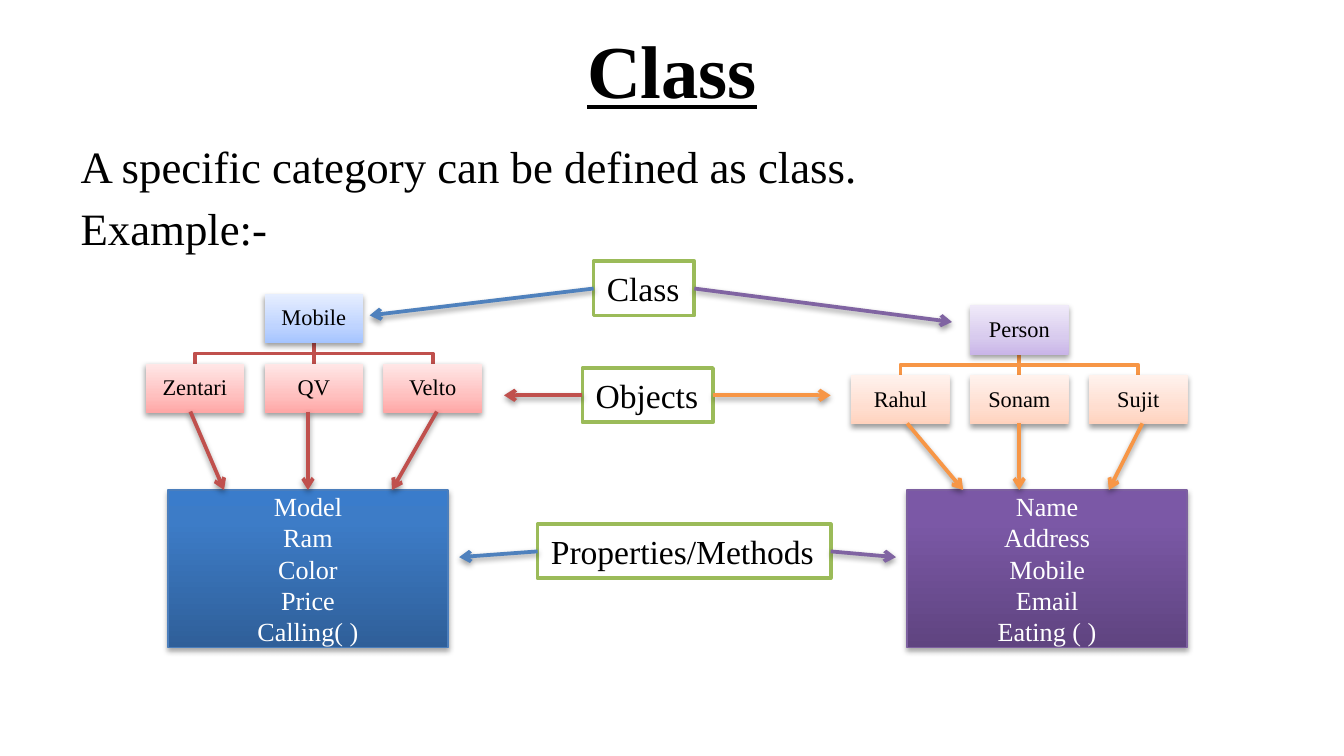
from lxml.etree import SubElement
from pptx import Presentation
from pptx.dml.color import RGBColor
from pptx.enum.shapes import MSO_CONNECTOR, MSO_SHAPE
from pptx.enum.text import MSO_ANCHOR, PP_ALIGN
from pptx.oxml.ns import qn
from pptx.util import Pt

FONT = "Times New Roman"
HUES = {
    "black": "000000", "white": "FFFFFF", "green": "9BBB59",
    "blue": "4F81BD", "purple": "8064A2", "red": "C0504D", "orange": "F79646",
    "blue edge": "4B7EBC", "purple edge": "7D60A0",
}
# Stops run from the bottom edge to the top edge.
FADES = {
    "sky": {0: "A4C4FF", 35: "BFD4FF", 100: "E6EEFF"},
    "rose": {0: "FFA6A5", 35: "FFC0BF", 100: "FFE7E7"},
    "lilac": {0: "C9B5E8", 35: "D8CBEE", 100: "F0EAF9"},
    "peach": {0: "FFD2BD", 35: "FFDED0", 100: "FFF2ED"},
    "blue": {0: "2F5F99", 80: "3D7CC7", 100: "3A7CCB"},
    "purple": {0: "5F4480", 80: "7B58A6", 100: "7C57A8"},
}


def hue(name):
    """Return the named colour."""
    return RGBColor.from_string(HUES[name])


def place(item, left, top, width, height):
    """Move and size a shape."""
    item.left, item.top = Pt(left), Pt(top)
    item.width, item.height = Pt(width), Pt(height)


def write(item, text, size, color, align=PP_ALIGN.CENTER, inset=None):
    """Set the text of a shape and format all its runs."""
    frame = item.text_frame
    frame.text = text
    if inset is not None:
        frame.margin_left = frame.margin_right = Pt(inset)
        frame.margin_top = frame.margin_bottom = Pt(inset)
    for para in frame.paragraphs:
        para.alignment = align
        for run in para.runs:
            run.font.name, run.font.size = FONT, Pt(size)
            run.font.color.rgb = hue(color)
    return frame


def shade(item, alpha=38):
    """Add a soft shadow below a shape or connector."""
    effects = SubElement(item._element.spPr, qn("a:effectLst"))
    cast = SubElement(effects, qn("a:outerShdw"), blurRad=str(Pt(3.1)),
                      dist=str(Pt(1.6)), dir="5400000", rotWithShape="0")
    tint = SubElement(cast, qn("a:srgbClr"), val=HUES["black"])
    SubElement(tint, qn("a:alpha"), val=str(alpha * 1000))


def fade(item, name):
    """Fill a shape with a named vertical gradient."""
    item.fill.gradient()
    item.fill.gradient_angle = 90
    stops = item._element.spPr.find(".//" + qn("a:gsLst"))
    for stop in list(stops):
        stops.remove(stop)
    for pos, tint in FADES[name].items():
        stop = SubElement(stops, qn("a:gs"), pos=str(pos * 1000))
        SubElement(stop, qn("a:srgbClr"), val=tint)


def stroke(item, color, width=2):
    """Set the line of a shape or connector."""
    item.line.color.rgb = hue(color)
    item.line.width = Pt(width)


def block(slide, left, top, width, height):
    """Add a plain rectangle."""
    return slide.shapes.add_shape(MSO_SHAPE.RECTANGLE, Pt(left), Pt(top),
                                  Pt(width), Pt(height))


def link(slide, start, end, color, arrow=True):
    """Join two points, with an arrowhead and shadow if asked."""
    line = slide.shapes.add_connector(
        MSO_CONNECTOR.STRAIGHT, *(Pt(n) for n in (*start, *end)))
    stroke(line, color)
    if arrow:
        SubElement(line.line._get_or_add_ln(), qn("a:tailEnd"), type="arrow")
        shade(line)
    else:
        SubElement(line._element.spPr, qn("a:effectLst"))


def bend(slide, points, color):
    """Draw an open bent line through the points."""
    first, *rest = [(Pt(x), Pt(y)) for x, y in points]
    pen = slide.shapes.build_freeform(*first)
    pen.add_line_segments(rest, close=False)
    line = pen.convert_to_shape()
    line.fill.background()
    stroke(line, color)
    line.shadow.inherit = False


def node(slide, left, top, text, tone):
    """Add one box of a tree."""
    box = block(slide, left, top, 52.8, 26.4)
    fade(box, tone)
    box.line.fill.background()
    shade(box)
    frame = write(box, text, 12, "black", inset=0.6)
    frame.vertical_anchor = MSO_ANCHOR.MIDDLE
    frame.paragraphs[0].line_spacing = 0.9


def tree(slide, left, top, root, kids, tones, color):
    """Add a class box above its row of objects."""
    step, drop, half = 63.7, 37.4, 26.4
    mid, base = left + step + half, top + 26.4
    for way in (1, 0, -1):
        x, elbow, end = mid + way * step, (base + top + drop) / 2, top + drop
        if way:
            bend(slide, [(mid, base), (mid, elbow), (x, elbow), (x, end)], color)
        else:
            link(slide, (mid, base), (mid, end), color, arrow=False)
    node(slide, left + step, top, root, tones[0])
    for i, kid in enumerate(kids):
        node(slide, left + i * step, top + drop, kid, tones[1])


def traits(slide, left, top, names, tone):
    """Add the box that lists properties and methods."""
    box = block(slide, left, top, 150, 84.4)
    fade(box, tone)
    stroke(box, tone + " edge", 0.75)
    shade(box, 35)
    frame = write(box, "\n".join(names), 14, "white")
    frame.vertical_anchor = MSO_ANCHOR.MIDDLE


def label(slide, left, top, width, text, ends, colors):
    """Add a framed label with one arrow to each side."""
    box = block(slide, left, top, width, 29)
    box.fill.solid()
    box.fill.fore_color.rgb = hue("white")
    stroke(box, "green")
    box.shadow.inherit = False
    frame = write(box, text, 18, "black", PP_ALIGN.LEFT)
    frame.word_wrap = False
    for x, end, color in zip((left, left + width), ends, colors):
        link(slide, (x, top + 14.6), end, color)


def intro(slide, left, top, width):
    """Fill the title and the body text."""
    title, body = slide.shapes.title, slide.placeholders[1]
    place(title, left, top, width, 67.5)
    frame = write(title, "Class", 40, "black")
    frame.vertical_anchor = MSO_ANCHOR.MIDDLE
    font = frame.paragraphs[0].runs[0].font
    font.bold = font.underline = True
    place(body, left, top + 67.5, width, 72)
    text = "A specific category can be defined as class. \nExample:-"
    for para in write(body, text, 24, "black", PP_ALIGN.LEFT).paragraphs:
        para.space_before = Pt(4.8)
        props = para._p.get_or_add_pPr()
        props.set("marL", "0")
        props.set("indent", "0")
        SubElement(props, qn("a:buNone"))


def main():
    """Build the slide."""
    deck = Presentation()
    deck.slide_width, deck.slide_height = Pt(720), Pt(405)
    slide = deck.slides.add_slide(deck.slide_layouts[1])
    intro(slide, 36, 3, 648)
    tree(slide, 78, 157.5, "Mobile", ["Zentari", "QV", "Velto"],
         ("sky", "rose"), "red")
    tree(slide, 456, 163.6, "Person", ["Rahul", "Sonam", "Sujit"],
         ("lilac", "peach"), "orange")
    traits(slide, 90, 262.5, ["Model", "Ram", "Color", "Price", "Calling( )"],
           "blue")
    traits(slide, 486, 262.5,
           ["Name", "Address", "Mobile", "Email", "Eating ( )"], "purple")
    for top, color, pairs in (
            (220.5, "red", [(102, 120), (165, 165), (234, 210)]),
            (226.8, "orange", [(486, 516), (546, 546), (612, 594)])):
        for x, end in pairs:
            link(slide, (x, top), (end, 262.5), color)
    label(slide, 318, 140, 54, "Class", [(198, 169), (510, 172.5)],
          ("blue", "purple"))
    label(slide, 312, 197.2, 70, "Objects", [(270, 211.8), (445, 211.8)],
          ("red", "orange"))
    label(slide, 288, 280.8, 157, "Properties/Methods",
          [(246, 298.5), (480, 298.5)], ("blue", "purple"))
    deck.save("out.pptx")


main()
